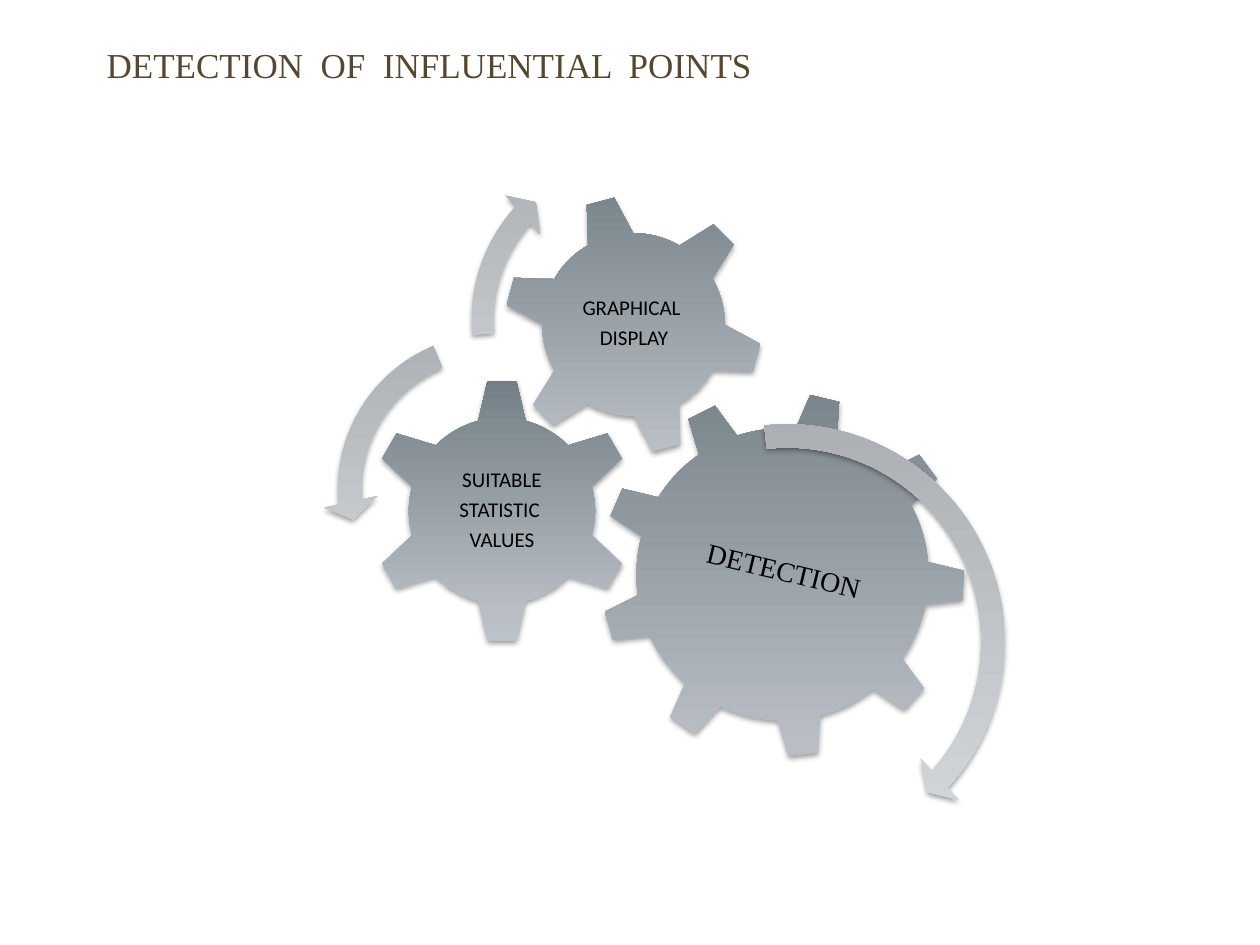
from dataclasses import dataclass

from lxml.etree import SubElement
from pptx import Presentation
from pptx.dml.color import RGBColor
from pptx.enum.shapes import MSO_SHAPE
from pptx.enum.text import MSO_ANCHOR, PP_ALIGN
from pptx.oxml import parse_xml
from pptx.oxml.ns import nsdecls, qn
from pptx.shapes.autoshape import Shape
from pptx.slide import Slide
from pptx.util import Emu, Pt

PIXEL = 914400 / 126
COLORS = {
    "title": "564730",
    "label": "000000",
    "shadow": "000000",
    "gear_light": "BBC3CA",
    "gear_middle": "B8BEC4",
    "gear_dark": "747E86",
    "arrow_light": "D7DBDE",
    "arrow_middle": "D2D6D9",
    "arrow_dark": "ABAEB2",
}


@dataclass
class Label:
    text: str
    box: tuple[int, int, int, int]
    font: str = "Calibri"
    size: int = 12
    rotation: float = 0


@dataclass
class Gear:
    preset: MSO_SHAPE
    left: int
    top: int
    side: int
    rotation: float
    label: Label


@dataclass
class Arrow:
    preset: MSO_SHAPE
    left: int
    top: int
    side: int
    adjustments: tuple[float, ...]


GEARS = [
    Gear(MSO_SHAPE.GEAR_9, 600, 392, 365, 13.5,
         Label("DETECTION", (674, 478, 219, 188), "Times New Roman", 16, 13.5)),
    Gear(MSO_SHAPE.GEAR_6, 369, 378, 266, 0,
         Label("SUITABLE\nSTATISTIC \nVALUES", (436, 445, 132, 131))),
    Gear(MSO_SHAPE.GEAR_6, 503, 194, 261, 345,
         Label("GRAPHICAL \nDISPLAY", (561, 251, 146, 146))),
]
ARROWS = [
    Arrow(MSO_SHAPE.CIRCULAR_ARROW, 554, 408, 467, (0.05, 2.99, 25.29, 158.33, 0.06)),
    Arrow(MSO_SHAPE.LEFT_CIRCULAR_ARROW, 323, 319, 340, (0.07, 4.3, 104.89, 148.38, 0.08)),
    Arrow(MSO_SHAPE.CIRCULAR_ARROW, 457, 137, 367, (0.06, 3.94, 133.14, 105.08, 0.07)),
]


def px(value: int) -> Emu:
    return Emu(round(value * PIXEL))


def add_title(slide: Slide, text: str) -> None:
    title = slide.shapes.title
    title.left, title.top, title.width, title.height = map(px, (94, 37, 709, 55))
    frame = title.text_frame
    frame.text = text
    frame.word_wrap = True
    frame.vertical_anchor = MSO_ANCHOR.TOP
    paragraph = frame.paragraphs[0]
    paragraph.alignment = PP_ALIGN.LEFT
    font = paragraph.runs[0].font
    font.name, font.size = "Times New Roman", Pt(20)
    font.color.rgb = RGBColor.from_string(COLORS["title"])


def style_shape(shape: Shape, palette: str) -> None:
    shape.line.fill.background()
    shape.shadow.inherit = False
    properties = shape._element.spPr
    stops = "".join(
        f'<a:gs pos="{position}"><a:srgbClr val="{COLORS[f"{palette}_{tone}"]}"/></a:gs>'
        for position, tone in ((0, "light"), (12000, "middle"), (100000, "dark"))
    )
    gradient = parse_xml(
        f'<a:gradFill {nsdecls("a")} rotWithShape="0"><a:gsLst>{stops}</a:gsLst>'
        '<a:lin ang="16200000" scaled="0"/></a:gradFill>'
    )
    properties.find(qn("a:ln")).addprevious(gradient)
    shadow = SubElement(
        properties.find(qn("a:effectLst")), qn("a:outerShdw"),
        blurRad=str(Pt(3.1)), dist=str(Pt(1.6)), dir="5400000", rotWithShape="0",
    )
    color = SubElement(shadow, qn("a:srgbClr"), val=COLORS["shadow"])
    SubElement(color, qn("a:alpha"), val="38000")


def add_label(slide: Slide, label: Label) -> None:
    box = slide.shapes.add_textbox(*map(px, label.box))
    box.rotation = label.rotation
    frame = box.text_frame
    frame.text = label.text
    frame.word_wrap = True
    frame.vertical_anchor = MSO_ANCHOR.MIDDLE
    frame.margin_left = frame.margin_right = px(2)
    frame.margin_top = frame.margin_bottom = px(2)
    for paragraph in frame.paragraphs:
        paragraph.alignment = PP_ALIGN.CENTER
        paragraph.line_spacing = 0.9
        paragraph.space_after = Pt(label.size * 0.35)
        font = paragraph.runs[0].font
        font.name, font.size = label.font, Pt(label.size)
        font.color.rgb = RGBColor.from_string(COLORS["label"])


def add_gear(slide: Slide, gear: Gear) -> None:
    side = px(gear.side)
    shape = slide.shapes.add_shape(gear.preset, px(gear.left), px(gear.top), side, side)
    shape.rotation = gear.rotation
    style_shape(shape, "gear")
    add_label(slide, gear.label)


def add_arrow(slide: Slide, arrow: Arrow) -> None:
    side = px(arrow.side)
    shape = slide.shapes.add_shape(arrow.preset, px(arrow.left), px(arrow.top), side, side)
    for index, value in enumerate(arrow.adjustments):
        shape.adjustments[index] = value
    style_shape(shape, "arrow")


def main() -> None:
    presentation = Presentation()
    presentation.slide_width, presentation.slide_height = px(1260), px(945)
    slide = presentation.slides.add_slide(presentation.slide_layouts[5])
    add_title(slide, "DETECTION  OF  INFLUENTIAL  POINTS")
    for gear in GEARS:
        add_gear(slide, gear)
    for arrow in ARROWS:
        add_arrow(slide, arrow)
    presentation.save("out.pptx")


if __name__ == "__main__":
    main()
